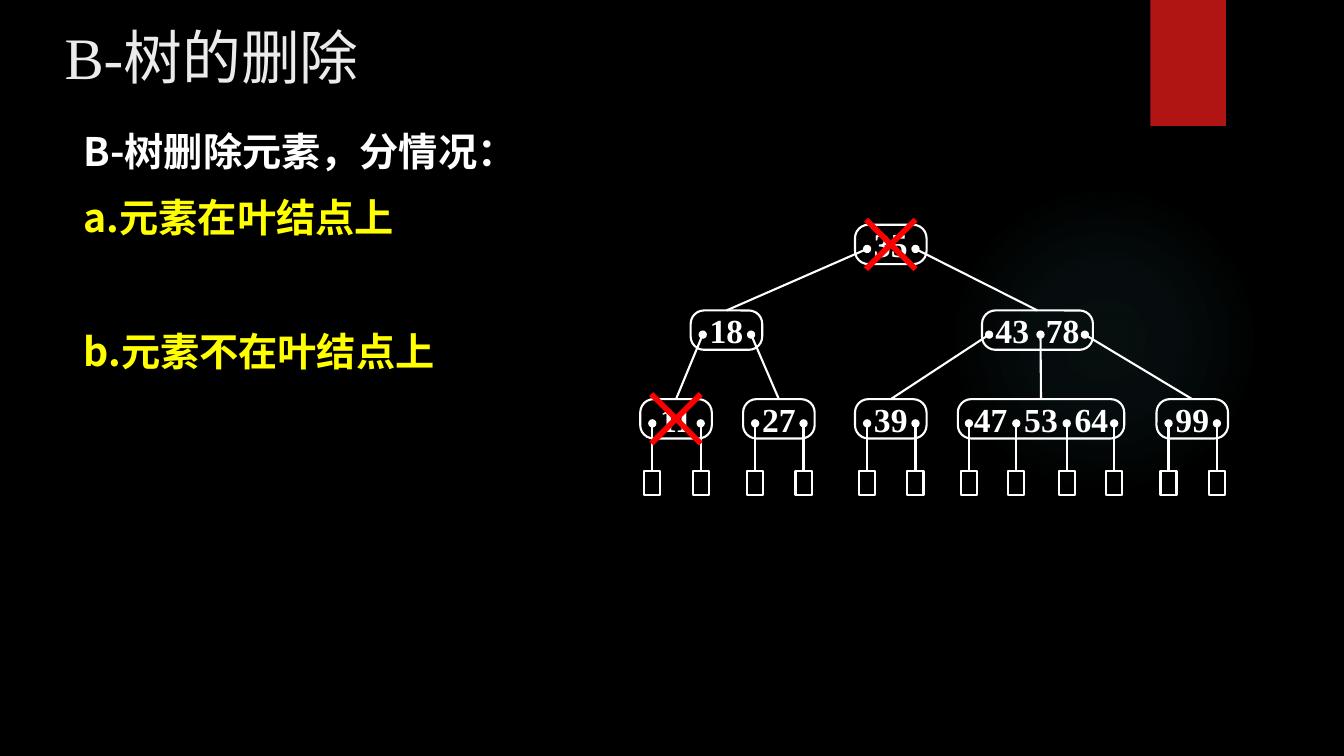
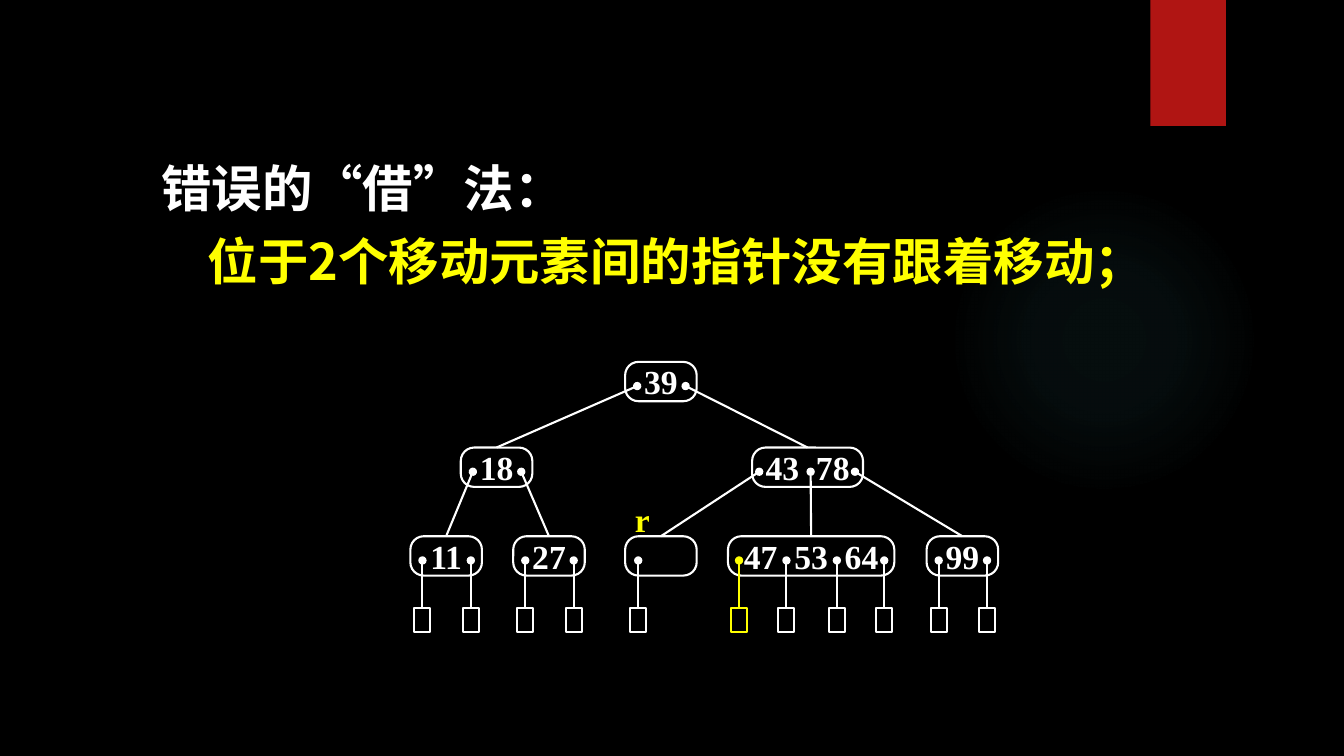
from dataclasses import dataclass, replace
from typing import Any, Optional

from lxml import etree
from pptx import Presentation
from pptx import util as u
from pptx.dml import color
from pptx.enum import shapes, text
from pptx.oxml import ns, parse_xml

BLACK, WHITE, YELLOW = "000000", "FFFFFF", "FFFF00"
RED, BAND, GLOW, TITLE = "FF0000", "B01513", "50B9C1", "EBEBEB"
SERIF, SANS = "Times New Roman", "Noto Sans CJK SC"
ROW_TOPS = (0, 0.85, 1.73)
NODE_HEIGHT, KEY_PITCH, KEY_WIDTH = 0.39, 0.5, 0.5
POINTER_DROP, BOX_DROP = 0.24, 0.71
BOX_WIDTH, BOX_HEIGHT = 0.16, 0.24
CROSS_REACH = 0.245

TITLE_FONT = {"name": SERIF, "size": u.Pt(42), "bold": False}
CASE_FONT = {"name": SANS, "size": u.Pt(28), "bold": True}
HEADING_FONT = {"name": SERIF, "size": u.Pt(36), "bold": True}
REASON_FONT = {**HEADING_FONT, "name": SANS}
KEY_FONT = {"name": SERIF, "size": u.Pt(24), "bold": True}

KEY_FRAME = {
    "margin_left": 0, "margin_right": 0, "margin_top": 0, "margin_bottom": 0,
    "word_wrap": False, "vertical_anchor": text.MSO_ANCHOR.MIDDLE,
}
BODY_FRAME = {
    "word_wrap": True, "auto_size": text.MSO_AUTO_SIZE.NONE,
    "vertical_anchor": text.MSO_ANCHOR.TOP,
}


@dataclass(frozen=True)
class Node:
    left: float
    row: int
    width: float
    keys: tuple[str, ...]
    pointers: tuple[float, ...]
    children: tuple[int, ...] = ()
    crossed: bool = False
    marked_pointer: Optional[int] = None
    label: str = ""

    @property
    def center(self) -> float:
        return self.left + self.width / 2

    @property
    def top(self) -> float:
        return ROW_TOPS[self.row]


@dataclass(frozen=True)
class Line:
    words: str
    font: dict[str, Any]
    color: str
    before: float = 0
    spacing: float = 1
    indent: float = 0


def small(left: float, row: int, key: str, *children: int) -> Node:
    return Node(left, row, 0.71, (key,), (0.12, 0.6), children)


ROOT, THIRD_LEAF, WIDE_LEAF, FIRST_LEAF = 0, 5, 6, 3
TREE = (
    small(2.13, 0, "35", 1, 2),
    small(0.5, 1, "18", 3, 4),
    Node(3.39, 1, 1.1, ("43", "78"), (0.07, 0.58, 1.02), (5, 6, 7)),
    small(0, 2, "11"),
    small(1.02, 2, "27"),
    small(2.13, 2, "39"),
    Node(3.15, 2, 1.65, ("47", "53", "64"), (0.11, 0.58, 1.08, 1.55)),
    small(5.12, 2, "99"),
)


def changed(changes: dict[int, dict[str, Any]]) -> list[Node]:
    return [replace(node, **changes.get(i, {})) for i, node in enumerate(TREE)]


def paint(target: Any, value: str) -> None:
    target.rgb = color.RGBColor.from_string(value)


def apply(target: Any, values: dict[str, Any]) -> None:
    for name, value in values.items():
        setattr(target, name, value)


def write(para: Any, words: str, font: dict[str, Any], ink: str) -> None:
    span = para.add_run()
    span.text = words
    apply(span.font, font)
    paint(span.font.color, ink)
    east = etree.SubElement(span.font._element, ns.qn("a:ea"))
    east.set("typeface", SANS)


def place(box: Any, left: float, top: float, width: float, height: float) -> None:
    apply(box, {
        "left": u.Inches(left), "top": u.Inches(top),
        "width": u.Inches(width), "height": u.Inches(height),
    })


def write_body(box: Any, lines: list[Line]) -> None:
    frame = box.text_frame
    apply(frame, BODY_FRAME)
    for i, line in enumerate(lines):
        para = frame.paragraphs[0] if i == 0 else frame.add_paragraph()
        properties = para._p.get_or_add_pPr()
        properties.set("marL", str(u.Inches(line.indent)))
        properties.set("indent", "0")
        etree.SubElement(properties, ns.qn("a:buNone"))
        apply(para, {
            "space_before": u.Pt(line.before), "line_spacing": line.spacing,
            "alignment": text.PP_ALIGN.LEFT,
        })
        write(para, line.words, line.font, line.color)


def outline(group: Any, kind: Any, left: float, top: float,
            width: float, height: float, ink: str = WHITE) -> Any:
    box = group.shapes.add_shape(kind, *map(u.Inches, (left, top, width, height)))
    box.shadow.inherit = False
    box.fill.background()
    paint(box.line.color, ink)
    box.line.width = u.Pt(1.5)
    return box


def connect(group: Any, start: tuple[float, float], end: tuple[float, float],
            ink: str = WHITE, width: float = 1.5, dot: bool = True) -> None:
    line = group.shapes.add_connector(
        shapes.MSO_CONNECTOR.STRAIGHT, *map(u.Inches, (*start, *end)))
    paint(line.line.color, ink)
    line.line.width = u.Pt(width)
    if dot:
        head = etree.SubElement(line.line._get_or_add_ln(), ns.qn("a:headEnd"))
        head.set("type", "oval")
    etree.SubElement(line.element.spPr, ns.qn("a:effectLst"))


def write_key(box: Any, words: str, ink: str = WHITE) -> None:
    apply(box.text_frame, KEY_FRAME)
    para = box.text_frame.paragraphs[0]
    para.alignment = text.PP_ALIGN.CENTER
    write(para, words, KEY_FONT, ink)


def add_key(group: Any, words: str, center: float, top: float, ink: str = WHITE) -> None:
    box = group.shapes.add_textbox(*map(
        u.Inches, (center - KEY_WIDTH / 2, top, KEY_WIDTH, NODE_HEIGHT)))
    write_key(box, words, ink)


def draw_node(group: Any, node: Node, nodes: list[Node], x: float, y: float) -> None:
    left, top, center = x + node.left, y + node.top, x + node.center
    box = outline(group, shapes.MSO_SHAPE.ROUNDED_RECTANGLE,
                  left, top, node.width, NODE_HEIGHT)
    box.adjustments[0] = 0.34
    if len(node.keys) == 1:
        write_key(box, node.keys[0])
    else:
        for i, key in enumerate(node.keys):
            shift = (i - (len(node.keys) - 1) / 2) * KEY_PITCH
            add_key(group, key, center + shift, top)
    for i, offset in enumerate(node.pointers):
        start = (left + offset, top + POINTER_DROP)
        if node.children:
            child = nodes[node.children[i]]
            connect(group, start, (x + child.center, y + child.top))
            continue
        ink = YELLOW if i == node.marked_pointer else WHITE
        connect(group, start, (start[0], top + BOX_DROP), ink)
        outline(group, shapes.MSO_SHAPE.RECTANGLE, start[0] - BOX_WIDTH / 2,
                top + BOX_DROP, BOX_WIDTH, BOX_HEIGHT, ink)
    if node.label:
        add_key(group, node.label, left + 0.17, top - 0.37, YELLOW)
    if node.crossed:
        middle = top + NODE_HEIGHT / 2
        for rise in (-CROSS_REACH, CROSS_REACH):
            connect(group, (center - CROSS_REACH, middle + rise),
                    (center + CROSS_REACH, middle - rise), RED, 4, False)


def draw_tree(page: Any, nodes: list[Node], x: float, y: float) -> None:
    group = page.shapes.add_group_shape()
    for node in nodes:
        draw_node(group, node, nodes, x, y)


def glow_fill() -> Any:
    stops = "".join(
        f'<a:gs pos="{pos}000"><a:srgbClr val="{GLOW}">'
        f'<a:alpha val="{alpha}000"/></a:srgbClr></a:gs>'
        for pos, alpha in ((0, 7), (36, 6), (69, 0), (100, 0)))
    return parse_xml(
        f'<a:gradFill {ns.nsdecls("a")}><a:gsLst>{stops}</a:gsLst>'
        '<a:path path="circle"><a:fillToRect l="50000" t="50000" '
        'r="50000" b="50000"/></a:path></a:gradFill>')


def style_master(deck: Any, page: Any) -> None:
    master = deck.slide_master
    master.background.fill.solid()
    paint(master.background.fill.fore_color, BLACK)
    glow = outline(page, shapes.MSO_SHAPE.OVAL, 9.41, 1.83, 3.08, 3.08)
    properties = glow.element.spPr
    properties.replace(properties.find(ns.qn("a:noFill")), glow_fill())
    band = outline(page, shapes.MSO_SHAPE.RECTANGLE, 11.41, 0, 0.75, 1.25)
    band.fill.solid()
    paint(band.fill.fore_color, BAND)
    for i, box in enumerate((glow, band)):
        box.line.fill.background()
        box.element.nvSpPr.cNvPr.id = 20 + i
        master.element.cSld.spTree.insert(2 + i, box.element)


def build_cases(page: Any) -> None:
    title, body = page.placeholders
    place(title, 0.54, 0.16, 10.29, 1.53)
    apply(title.text_frame, BODY_FRAME)
    para = title.text_frame.paragraphs[0]
    para.alignment = text.PP_ALIGN.LEFT
    write(para, "B-树的删除", TITLE_FONT, TITLE)
    place(body, 0.73, 1.21, 7.15, 3.16)
    write_body(body, [
        Line("B-树删除元素，分情况：", CASE_FONT, WHITE),
        Line("a.元素在叶结点上", CASE_FONT, YELLOW, before=14),
        Line("b.元素不在叶结点上", CASE_FONT, YELLOW, before=62),
    ])
    nodes = changed({ROOT: {"crossed": True}, FIRST_LEAF: {"crossed": True}})
    draw_tree(page, nodes, 6.35, 2.23)


def build_wrong_borrowing(page: Any) -> None:
    title, body = page.placeholders
    title.element.getparent().remove(title.element)
    place(body, 1.5, 1.39, 10.07, 1.56)
    write_body(body, [
        Line("错误的“借”法：", HEADING_FONT, WHITE, spacing=1.2),
        Line("位于2个移动元素间的指针没有跟着移动；", REASON_FONT, YELLOW,
             spacing=1.2, indent=0.46),
    ])
    nodes = changed({
        ROOT: {"keys": ("39",)},
        THIRD_LEAF: {"keys": (), "pointers": (0.13,), "label": "r"},
        WIDE_LEAF: {"marked_pointer": 0},
    })
    draw_tree(page, nodes, 4.07, 3.59)


def main() -> None:
    deck = Presentation()
    deck.slide_width, deck.slide_height = u.Inches(13.33), u.Inches(7.5)
    pages = [deck.slides.add_slide(deck.slide_layouts[1]) for _ in range(2)]
    style_master(deck, pages[0])
    build_cases(pages[0])
    build_wrong_borrowing(pages[1])
    deck.save("out.pptx")


if __name__ == "__main__":
    main()
